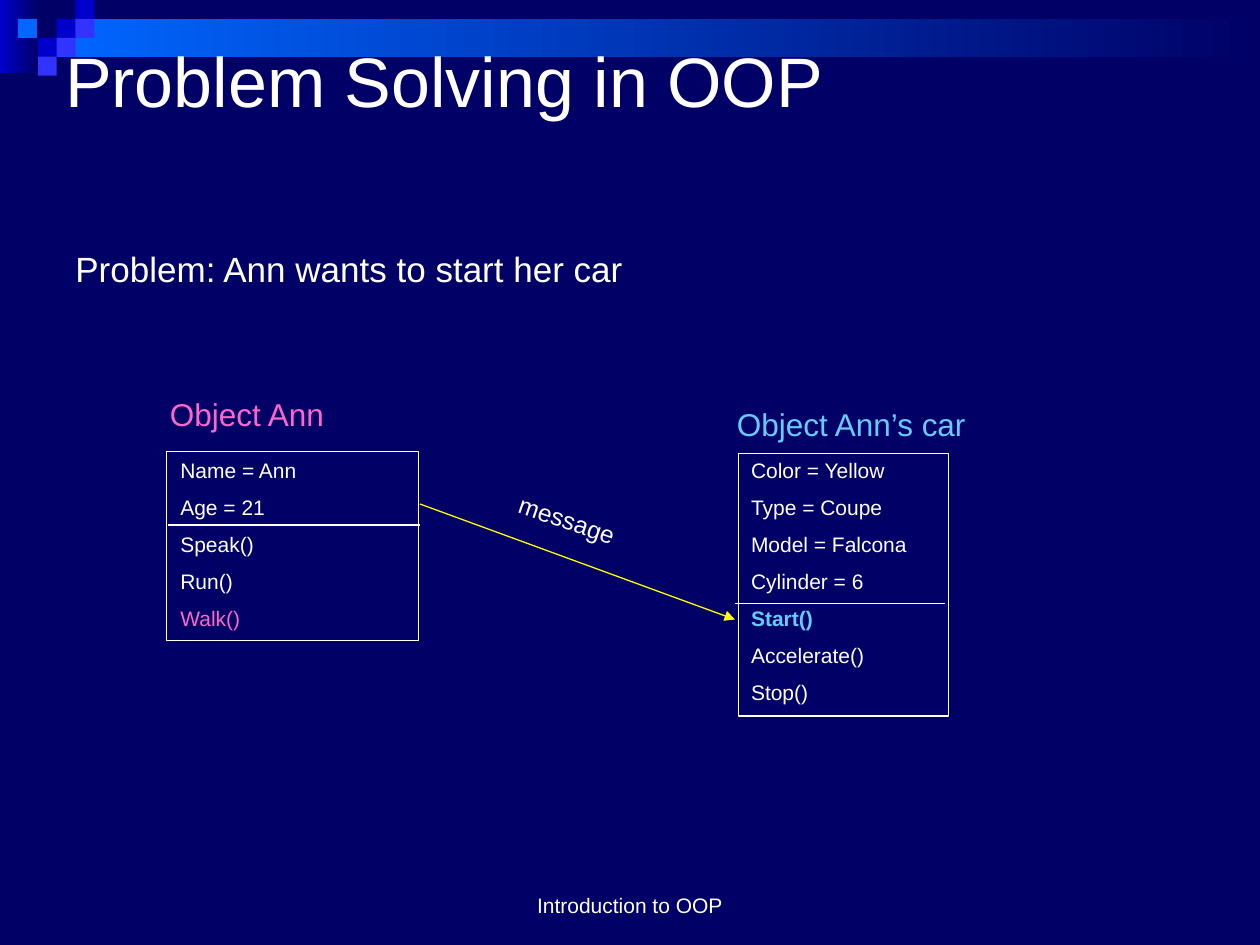
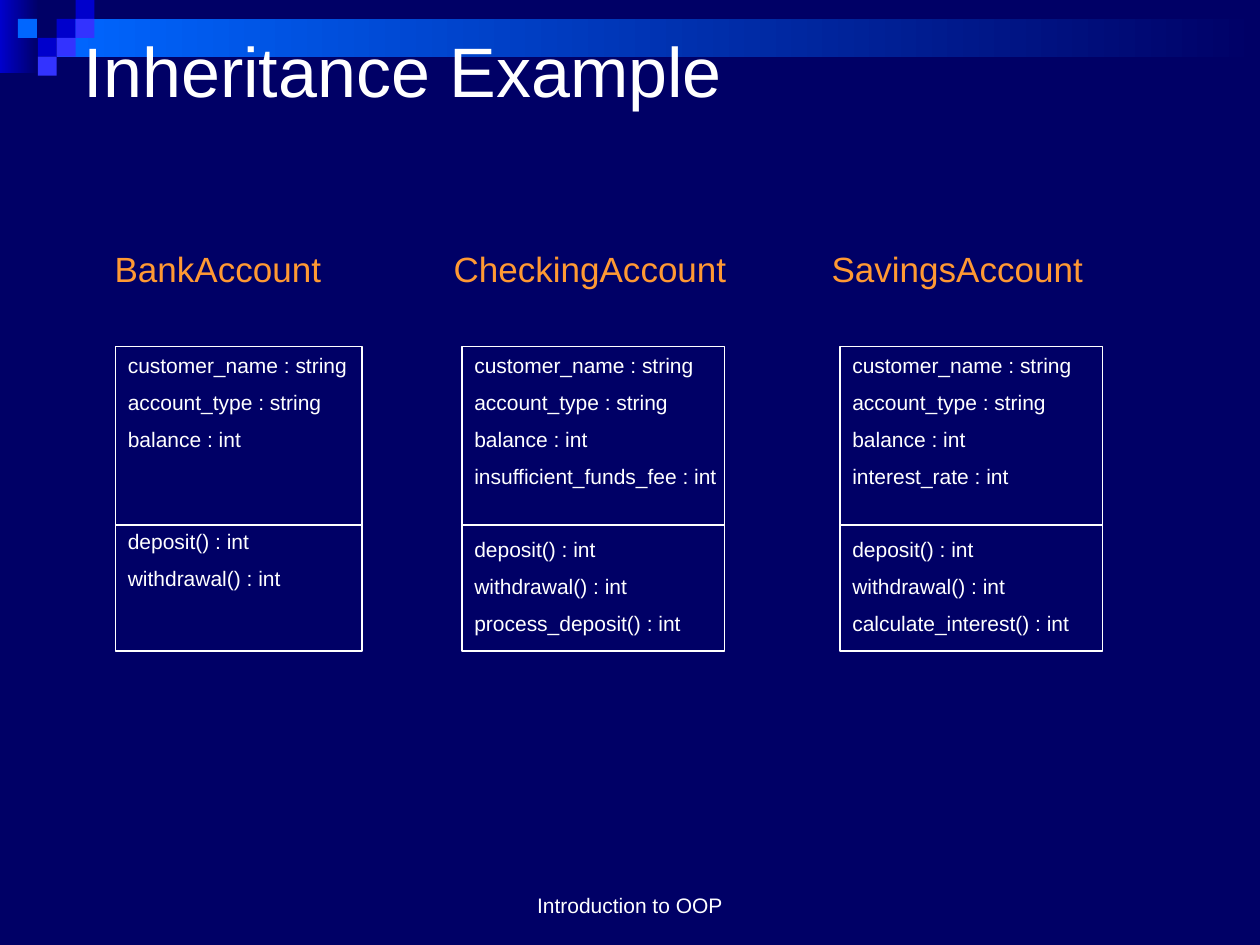
from pptx import Presentation
from pptx import util as u
from pptx.dml.color import RGBColor
from pptx.enum import shapes, text
from pptx.oxml import parse_xml
from pptx.oxml.ns import nsdecls

NAVY, BLUE, SKY, VIOLET = "000066", "0000CC", "0066FF", "3333FF"
WHITE, YELLOW, PINK, CYAN, ORANGE = "FFFFFF", "FFFF00", "FF66CC", "66CCFF", "FF9933"
UNIT = u.Inches(1 / 12)  # the slide is a grid of 120 columns by 90 rows
TILE = 1.8               # side of a corner tile, in grid units
GAP = 6.7                # space above a list line, in points
RECT = shapes.MSO_SHAPE.RECTANGLE
TOP, BASE = text.MSO_ANCHOR.TOP, text.MSO_ANCHOR.BOTTOM
LEFT, MID = text.PP_ALIGN.LEFT, text.PP_ALIGN.CENTER


def tint(code):
    """Turn a hex string into a colour."""
    return RGBColor.from_string(code)


def write(shape, lines, size, tone=WHITE, gap=0, align=LEFT, anchor=TOP, inset=0.1, marks=None):
    """Fill a shape with lines; marks holds the format of special lines."""
    frame = shape.text_frame
    look = {"word_wrap": True, "auto_size": text.MSO_AUTO_SIZE.NONE,
            "vertical_anchor": anchor, "margin_left": u.Inches(inset),
            "margin_right": u.Inches(0.1), "margin_top": u.Inches(0.05),
            "margin_bottom": u.Inches(0.05)}
    for key, value in look.items():
        setattr(frame, key, value)
    frame.text = "\n".join(lines)
    for line, para in zip(lines, frame.paragraphs):
        mark = (marks or {}).get(line, {})
        para.alignment = align
        para.space_before = u.Pt(mark.get("gap", gap))
        for run in para.runs:
            font = {"name": "Arial", "size": u.Pt(size), "bold": mark.get("bold", False)}
            for key, value in font.items():
                setattr(run.font, key, value)
            run.font.color.rgb = tint(mark.get("tone", tone))


deck = Presentation()
deck.slide_width, deck.slide_height = 120 * UNIT, 90 * UNIT
ground = deck.slide_master.background.fill
ground.solid()
ground.fore_color.rgb = tint(NAVY)

# Bands: left, top, width, height, colour at the left end
bands = [(0, 0, 3.7, 7, BLUE), (5.4, TILE, 114.6, 2 * TILE, SKY)]
# Tiles: column, row, colour
tiles = [(3, 1, BLUE), (4, 0, BLUE), (4, 1, VIOLET), (2, 2, BLUE),
         (0.95, 1, SKY), (3, 2, VIOLET), (2, 3, VIOLET)]

start = {"Start()": {"tone": CYAN, "bold": True}}
fields = ["customer_name : string", "account_type : string", "balance : int"]
acts = ["deposit() : int", "withdrawal() : int"]
low, high = {acts[0]: {"gap": 27.3}}, {acts[0]: {"gap": 43.9}}

# Cards: outline, rule (left, right, row), text frame, lines, marks
pages = [
    {"title": "Problem Solving in OOP", "place": (5, 3), "inset": 0.1,
     "body": "Problem: Ann wants to start her car", "tone": WHITE, "indent": 0.1,
     "cards": [
         ((15.85, 43, 24, 18), (16, 40, 50), (16, 43, 25, 25),
          ["Name = Ann", "Age = 21", "Speak()", "Run()", "Walk()"],
          {"Walk()": {"tone": PINK}}),
         ((70.35, 43.2, 20, 25), (70, 90, 57.5), (70.35, 43, 25, 29),
          ["Color = Yellow", "Type = Coupe", "Model = Falcona", "Cylinder = 6",
           "Start()", "Accelerate()", "Stop()"], start)],
     "notes": [((15, 37, 18, 5), "Object Ann", 18, PINK, 0),
               ((69, 38, 25, 5), "Object Ann’s car", 18, CYAN, 0),
               ((48, 48, 15, 4), "message", 14, WHITE, 19)],
     "arrows": [(40, 48, 70, 59)]},
    {"title": "Inheritance Example", "place": (5, 2), "inset": 0.25,
     "body": "BankAccount\tCheckingAccount\tSavingsAccount", "tone": ORANGE, "indent": 0.41,
     "cards": [
         ((left, 33, wide, 29), (left, left + wide, 50), (left, 33, 30, 29),
          fields + extra + acts + more, marks)
         for left, wide, extra, more, marks in [
             (11, 23.5, [], [], high),
             (44, 25, ["insufficient_funds_fee : int"], ["process_deposit() : int"], low),
             (80, 25, ["interest_rate : int"], ["calculate_interest() : int"], low)]],
     "notes": [], "arrows": []},
]

for page in pages:
    slide = deck.slides.add_slide(deck.slide_layouts[5])
    draw = slide.shapes

    # Corner bands and tiles
    for *place, tone in bands:
        band = draw.add_shape(RECT, *[int(n * UNIT) for n in place])
        band.shadow.inherit = False
        band.line.fill.background()
        band.fill.gradient()
        band.fill.gradient_angle = 0
        for stop, code in zip(band.fill.gradient_stops, (tone, NAVY)):
            stop.color.rgb = tint(code)
    for col, row, tone in tiles:
        tile = draw.add_shape(RECT, *[int(n * TILE * UNIT) for n in (col, row, 1, 1)])
        tile.shadow.inherit = False
        tile.line.fill.background()
        tile.fill.solid()
        tile.fill.fore_color.rgb = tint(tone)

    # Title in front of the bands
    title = draw.title
    title.element.getparent().append(title.element)
    spot = dict(zip(("left", "top", "width", "height"), (*page["place"], 108, 18)))
    for key, value in spot.items():
        setattr(title, key, value * UNIT)
    write(title, [page["title"]], 40, inset=page["inset"])

    # Body line, with tab stops over the second and third cards
    body = draw.add_textbox(6 * UNIT, 23 * UNIT, 108 * UNIT, 51 * UNIT)
    write(body, [page["body"]], 20, page["tone"], inset=page["indent"])
    if "\t" in page["body"]:
        stops = "".join(f'<a:tab pos="{u.Inches(n)}" algn="l"/>' for n in (2.69, 5.69))
        props = body.text_frame.paragraphs[0]._p.get_or_add_pPr()
        props.append(parse_xml(f'<a:tabLst {nsdecls("a")}>{stops}</a:tabLst>'))

    # Object and class cards
    links = [(*spots, YELLOW) for spots in page["arrows"]]
    for outline, (left, right, row), place, lines, marks in page["cards"]:
        card = draw.add_shape(RECT, *[int(n * UNIT) for n in outline])
        card.shadow.inherit = False
        card.fill.background()
        card.line.color.rgb = tint(WHITE)
        card.line.width = u.Pt(0.75)
        label = draw.add_textbox(*[int(n * UNIT) for n in place])
        write(label, lines, 12, gap=GAP, marks=marks)
        links.append((left, row, right, row, WHITE))

    # Card rules and message arrows
    for *ends, tone in links:
        link = draw.add_connector(shapes.MSO_CONNECTOR.STRAIGHT, *[int(n * UNIT) for n in ends])
        link.line.color.rgb = tint(tone)
        link.line.width = u.Pt(0.75)
        if tone == YELLOW:
            link.line._get_or_add_ln().append(
                parse_xml(f'<a:tailEnd {nsdecls("a")} type="triangle"/>'))
        link._element.spPr.append(parse_xml(f'<a:effectLst {nsdecls("a")}/>'))

    # Captions and footer
    for place, words, size, tone, turn in page["notes"]:
        note = draw.add_textbox(*[n * UNIT for n in place])
        note.rotation = turn
        write(note, [words], size, tone)
    foot = draw.add_textbox(41 * UNIT, 82 * UNIT, 38 * UNIT, 6 * UNIT)
    write(foot, ["Introduction to OOP"], 12, align=MID, anchor=BASE)

deck.save("out.pptx")
